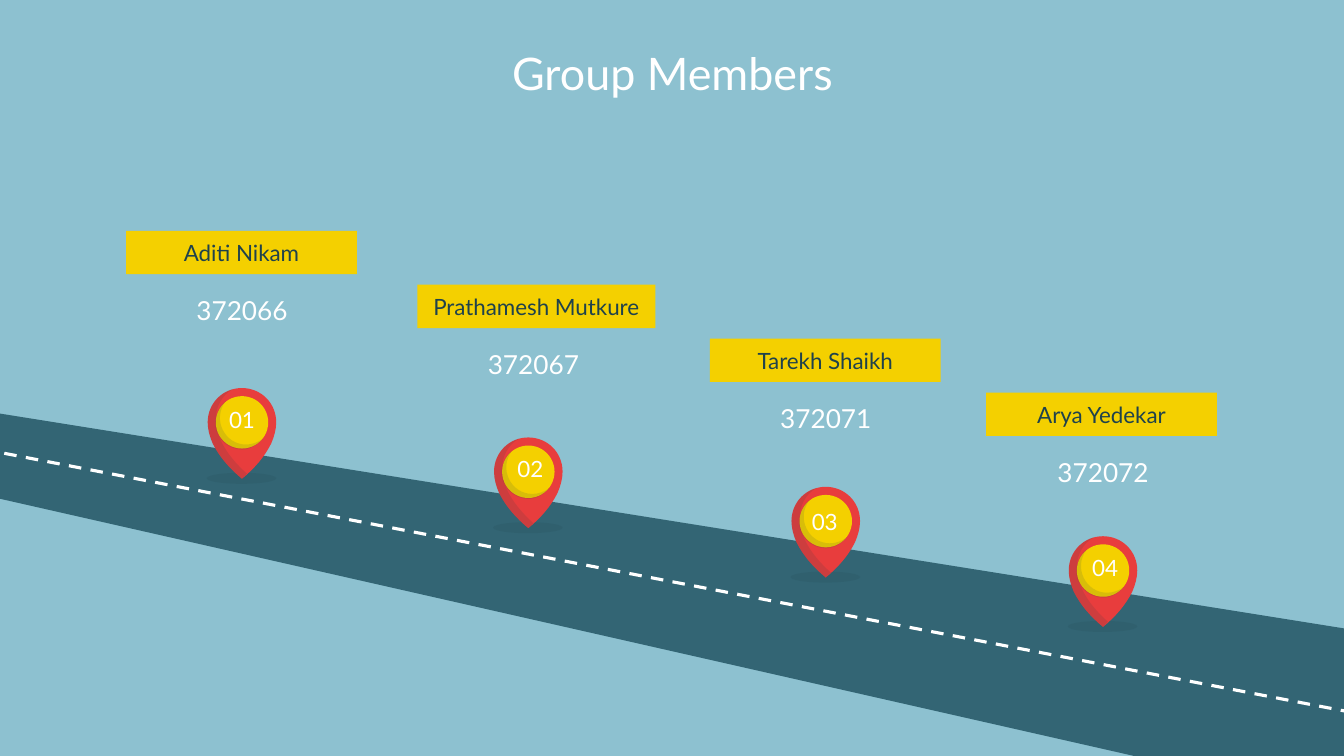
import dataclasses
import typing

import lxml.etree
import pptx
import pptx.dml.color
import pptx.enum.dml
import pptx.enum.shapes
import pptx.enum.text
import pptx.oxml.ns
import pptx.util

Inches = pptx.util.Inches
Kind = pptx.enum.shapes.MSO_SHAPE
Anchor = pptx.enum.text.MSO_ANCHOR
qn = pptx.oxml.ns.qn

FONT = "Lato"
COLORS = {
    "sky": "8DC1D0",
    "road": "336574",
    "red": "E83D3D",
    "gold": "F4D000",
    "dark": "1F424C",
    "white": "FFFFFF",
}
SHADE = 13  # opacity of the dark overlays, in percent
Curve = tuple[float, ...]


@dataclasses.dataclass(frozen=True)
class Member:
    name: str
    code: str
    tag_x: float  # left edge of the name tag
    tag_w: float
    code_x: float  # centre of the code
    pin_x: float  # tip of the pin
    mark_x: float  # centre of the pin's number
    mark_y: float


MEMBERS = [
    Member("Aditi Nikam", "372066", 1.25, 2.29, 2.4, 2.4, 2.4, 4.16),
    Member("Prathamesh Mutkure", "372067", 4.14, 2.36, 5.29, 5.24, 5.26, 4.65),
    Member("Tarekh Shaikh", "372071", 7.04, 2.29, 8.19, 8.19, 8.18, 5.17),
    Member("Arya Yedekar", "372072", 9.78, 2.29, 10.94, 10.94, 10.96, 5.63),
]
TAG_TOP, TAG_STEP = 2.29, 0.535
PIN_TOP, PIN_STEP = 3.85, 0.49

# Outlines hold a start, then cubic curves, relative to the top of a pin.
FLANK: list[Curve] = [
    (-0.34, 0.41, -0.32, 0.48, -0.29, 0.55),
    (-0.22, 0.69, -0.12, 0.8, 0, 0.9),
]
HALF: list[Curve] = [(0, 0), (-0.19, 0, -0.34, 0.15, -0.34, 0.34), *FLANK]
SIDE: list[Curve] = [
    (-0.09, 0.01),
    (-0.24, 0.05, -0.34, 0.19, -0.34, 0.34),
    *FLANK,
    (0.05, 0.85),
    (-0.05, 0.76, -0.15, 0.65, -0.21, 0.52),
    (-0.25, 0.45, -0.26, 0.38, -0.26, 0.31),
    (-0.26, 0.19, -0.2, 0.07, -0.09, 0.01),
]
RIM: list[Curve] = [
    (-0.16, 0.13),
    (-0.29, 0.23, -0.3, 0.42, -0.19, 0.53),
    (-0.14, 0.58, -0.07, 0.61, 0, 0.61),
    (0.08, 0.61, 0.15, 0.57, 0.21, 0.5),
    (0.16, 0.54, 0.1, 0.56, 0.04, 0.56),
    (-0.17, 0.56, -0.3, 0.31, -0.16, 0.13),
]
ROAD: list[Curve] = [
    (13.43, 6.25), (-0.08, 4.09), (-0.08, 4.93), (11.25, 7.5), (13.43, 7.5)]


def rgb(color: str) -> pptx.dml.color.RGBColor:
    return pptx.dml.color.RGBColor.from_string(COLORS[color])


def paint(shape: typing.Any, color: str, alpha: int = 100) -> None:
    """Give a flat fill, with no line and no shadow."""
    shape.shadow.inherit = False
    shape.line.fill.background()
    shape.fill.solid()
    shape.fill.fore_color.rgb = rgb(color)
    if alpha < 100:
        tint = shape._element.spPr.find(qn("a:solidFill") + "/" + qn("a:srgbClr"))
        node = lxml.etree.SubElement(tint, qn("a:alpha"))
        node.set("val", str(alpha * 1000))


def mirror(half: list[Curve]) -> list[Curve]:
    """Run back along a left half, flipped to the right."""
    return [(-bx, by, -ax, ay, -prev[-2], prev[-1])
            for prev, (ax, ay, bx, by, _, _) in zip(half[-2::-1], half[:0:-1])]


def draw(shapes: typing.Any, outline: list[Curve], color: str,
         alpha: int = 100, x: float = 0, y: float = 0) -> None:
    """Draw a closed outline of lines and cubic curves, moved by x and y."""
    spots = [(Inches(x + leg[-2]), Inches(y + leg[-1])) for leg in outline]
    pen = shapes.build_freeform(*spots[0])
    pen.add_line_segments(spots[1:], close=True)
    shape = pen.convert_to_shape()
    left, top = (min(edge) for edge in zip(*spots))
    legs = list(shape._element.iter(qn("a:lnTo")))
    for node, leg in zip(legs, outline[1:]):
        if len(leg) == 6:
            node.tag = qn("a:cubicBezTo")
            for spot, at in enumerate((0, 2)):
                point = lxml.etree.SubElement(node, qn("a:pt"))
                point.set("x", str(Inches(x + leg[at]) - left))
                point.set("y", str(Inches(y + leg[at + 1]) - top))
                node.insert(spot, point)
    paint(shape, color, alpha)


def block(shapes: typing.Any, kind: Kind, box: Curve, color: str,
          alpha: int = 100) -> typing.Any:
    shape = shapes.add_shape(kind, *map(Inches, box))
    paint(shape, color, alpha)
    return shape


def write(shape: typing.Any, text: str, size: float, color: str,
          anchor: Anchor = Anchor.MIDDLE, inset: float = 0.13) -> None:
    frame = shape.text_frame
    frame.word_wrap = True
    frame.vertical_anchor = anchor
    frame.margin_left = frame.margin_right = Inches(inset)
    frame.margin_top = frame.margin_bottom = Inches(inset)
    para = frame.paragraphs[0]
    para.alignment = pptx.enum.text.PP_ALIGN.CENTER
    run = para.add_run()
    run.text = text
    run.font.name = FONT
    run.font.size = pptx.util.Pt(size)
    run.font.color.rgb = rgb(color)


def road(shapes: typing.Any) -> None:
    draw(shapes, ROAD, "road")
    ends = map(Inches, (13.42, 7.07, -0.1, 4.47))
    dash = shapes.add_connector(pptx.enum.shapes.MSO_CONNECTOR.STRAIGHT, *ends)
    dash.line.color.rgb = rgb("white")
    dash.line.width = pptx.util.Pt(2.25)
    dash.line.dash_style = pptx.enum.dml.MSO_LINE.DASH
    lxml.etree.SubElement(dash._element.spPr, qn("a:effectLst"))


def pin(shapes: typing.Any, x: float, y: float) -> None:
    block(shapes, Kind.OVAL, (x - 0.35, y + 0.84, 0.69, 0.11), "dark", SHADE)
    draw(shapes, HALF + mirror(HALF), "red", x=x, y=y)
    draw(shapes, SIDE, "dark", SHADE, x, y)
    block(shapes, Kind.OVAL, (x - 0.26, y + 0.08, 0.52, 0.52), "gold")
    draw(shapes, RIM, "dark", SHADE, x, y)


def label(shapes: typing.Any, x: float, y: float, w: float, h: float,
          text: str, size: float, inset: float = 0.13,
          anchor: Anchor = Anchor.MIDDLE) -> None:
    """Write white text in a box centred on x and y."""
    box = shapes.add_textbox(*map(Inches, (x - w / 2, y - h / 2, w, h)))
    write(box, text, size, "white", anchor, inset)


def member(shapes: typing.Any, rank: int, who: Member) -> None:
    top = TAG_TOP + TAG_STEP * rank
    pin(shapes, who.pin_x, PIN_TOP + PIN_STEP * rank)
    tag = block(shapes, Kind.RECTANGLE, (who.tag_x, top, who.tag_w, 0.43), "gold")
    write(tag, who.name, 16, "dark")
    label(shapes, who.code_x, top + 0.785, 2.71, 0.47, who.code, 18.7)
    label(shapes, who.mark_x, who.mark_y, 0.58, 0.37, f"{rank + 1:02}", 16, 0.05)


def main() -> None:
    deck = pptx.Presentation()
    deck.slide_width, deck.slide_height = Inches(13.33), Inches(7.5)
    slide = deck.slides.add_slide(deck.slide_layouts[6])
    slide.background.fill.solid()
    slide.background.fill.fore_color.rgb = rgb("sky")
    label(slide.shapes, 6.67, 0.74, 11.25, 0.84, "Group Members", 32,
          anchor=Anchor.TOP)
    road(slide.shapes)
    for rank, who in enumerate(MEMBERS):
        member(slide.shapes, rank, who)
    deck.save("out.pptx")


if __name__ == "__main__":
    main()
